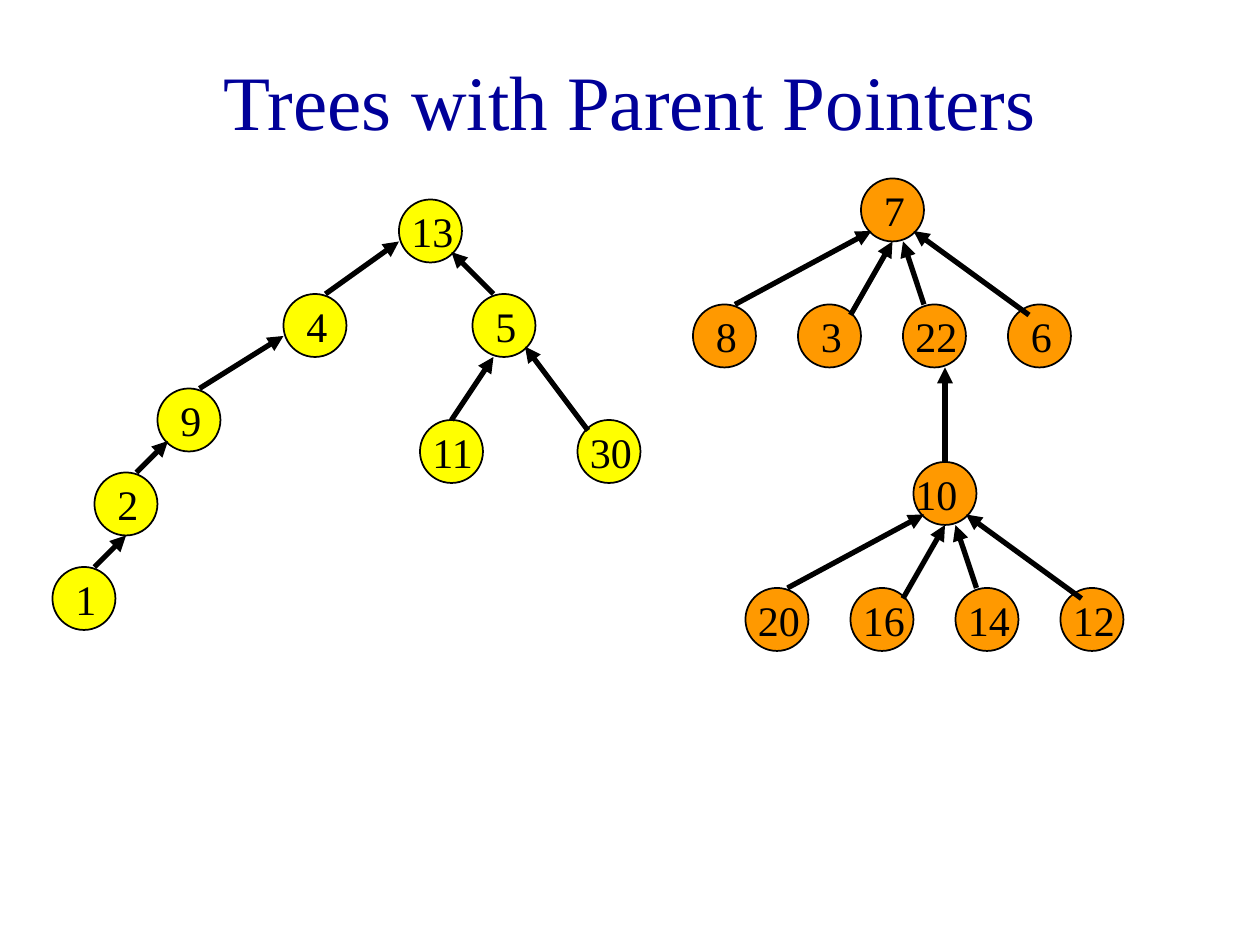
from dataclasses import dataclass

from lxml.etree import SubElement
from pptx import Presentation
from pptx.dml.color import RGBColor
from pptx.enum.shapes import MSO_CONNECTOR as Connector, MSO_SHAPE as Shape
from pptx.enum.text import MSO_ANCHOR as Anchor, MSO_AUTO_SIZE as AutoSize, PP_ALIGN as Align
from pptx.oxml.ns import qn
from pptx.util import Cm, Pt


@dataclass(frozen=True)
class Theme:
    font: str = "Times New Roman"
    title_size: int = 44
    label_size: int = 24
    outline: int = 1
    pointer: int = 3
    title: str = "000099"
    ink: str = "000000"
    left_tree: str = "FFFF00"
    right_tree: str = "FF9900"


THEME = Theme()
GRID = Cm(2.54) / 12  # all tree coordinates below are in grid steps
NODE = 6              # node diameter

# Content: nodes as (value, left, top), pointers as (parent end, child end)
TITLE = "Trees with Parent Pointers"
LEFT_NODES = [
    ("13", 38, 19), ("4", 27, 28), ("5", 45, 28), ("9", 15, 37),
    ("11", 40, 40), ("30", 55, 40), ("2", 9, 45), ("1", 5, 54),
]
LEFT_POINTERS = [
    ((38, 23), (31, 28)), ((43, 24), (47, 28)), ((27, 32), (19, 37)),
    ((47, 34), (43, 40)), ((50, 33), (56, 41)), ((16, 42), (13, 45)),
    ((12, 51), (9, 54)),
]

# The right tree is the same four-child fan twice, joined by one pointer
FANS = [("7", 82, 17, ["8", "3", "22", "6"]),
        ("10", 87, 44, ["20", "16", "14", "12"])]
FAN_LEFT, FAN_STEP, FAN_DROP = -16, 10, 12
FAN_POINTERS = [((1, 5), (-12, 12)), ((3, 6), (-1, 13)),
                ((4, 6), (6, 12)), ((5, 5), (16, 13))]
FAN_LINK = ((90, 35), (90, 44))
LABEL_SHIFT = {"10": -1}


def steps(*values):
    return [round(value * GRID) for value in values]


def add_run(paragraph, text, size, color):
    run = paragraph.add_run()
    run.text = text
    run.font.name = THEME.font
    run.font.size = Pt(size)
    run.font.color.rgb = RGBColor.from_string(color)


def add_node(group, value, left, top, fill):
    circle = group.shapes.add_shape(Shape.OVAL, *steps(left, top, NODE, NODE))
    circle.shadow.inherit = False
    circle.fill.solid()
    circle.fill.fore_color.rgb = RGBColor.from_string(fill)
    circle.line.color.rgb = RGBColor.from_string(THEME.ink)
    circle.line.width = Pt(THEME.outline)

    # One digit sits a step further in than two
    shift, width = (1, 4) if len(value) == 1 else (0, 9)
    shift = LABEL_SHIFT.get(value, shift)
    label = group.shapes.add_textbox(*steps(left + shift, top, width, NODE))
    frame = label.text_frame
    frame.word_wrap = True
    frame.auto_size = AutoSize.SHAPE_TO_FIT_TEXT
    add_run(frame.paragraphs[0], value, THEME.label_size, THEME.ink)


def add_pointer(group, parent_end, child_end):
    pointer = group.shapes.add_connector(Connector.STRAIGHT, *steps(*parent_end, *child_end))
    pointer.line.color.rgb = RGBColor.from_string(THEME.ink)
    pointer.line.width = Pt(THEME.pointer)
    properties = pointer._element.spPr
    SubElement(properties.find(qn("a:ln")), qn("a:headEnd"), type="triangle")
    SubElement(properties, qn("a:effectLst"))


def add_tree(slide, nodes, pointers, fill):
    group = slide.shapes.add_group_shape()
    for value, left, top in nodes:
        add_node(group, value, left, top, fill)
    for parent_end, child_end in pointers:
        add_pointer(group, parent_end, child_end)


def fan_tree():
    nodes, pointers = [], [FAN_LINK]
    for root, left, top, children in FANS:
        nodes.append((root, left, top))
        nodes += [(child, left + FAN_LEFT + index * FAN_STEP, top + FAN_DROP)
                  for index, child in enumerate(children)]
        pointers += [tuple((left + x, top + y) for x, y in ends) for ends in FAN_POINTERS]
    return nodes, pointers


def main():
    presentation = Presentation()
    presentation.slide_width, presentation.slide_height = Cm(25.4), Cm(19.05)
    slide = presentation.slides.add_slide(presentation.slide_layouts[5])

    # Title
    title = slide.shapes.title
    title.left, title.top, title.width, title.height = steps(9, 2, 102, 15)
    frame = title.text_frame
    frame.auto_size = AutoSize.NONE
    frame.vertical_anchor = Anchor.MIDDLE
    frame.paragraphs[0].alignment = Align.CENTER
    add_run(frame.paragraphs[0], TITLE, THEME.title_size, THEME.title)

    # Trees
    add_tree(slide, LEFT_NODES, LEFT_POINTERS, THEME.left_tree)
    add_tree(slide, *fan_tree(), THEME.right_tree)

    presentation.save("out.pptx")


if __name__ == "__main__":
    main()
